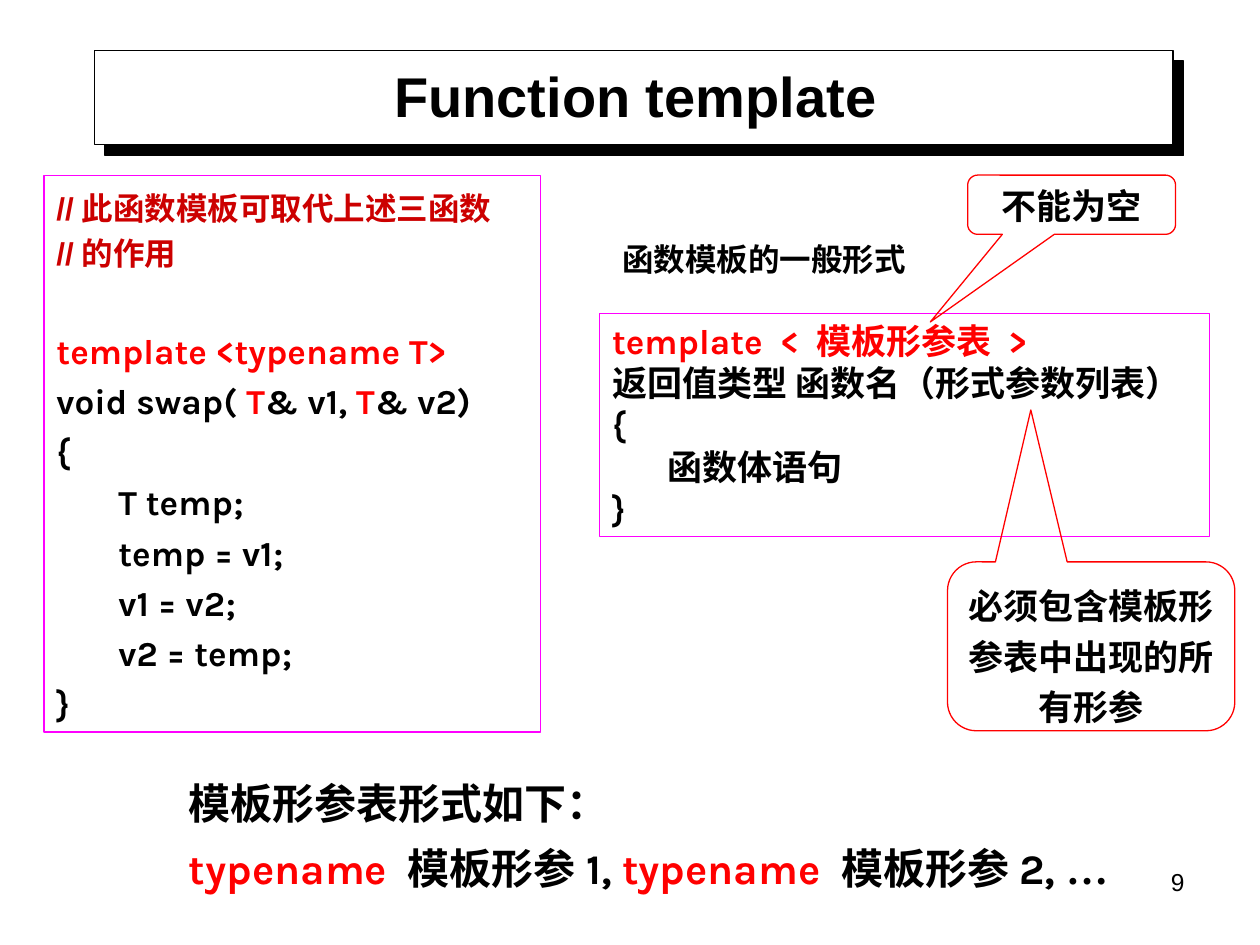
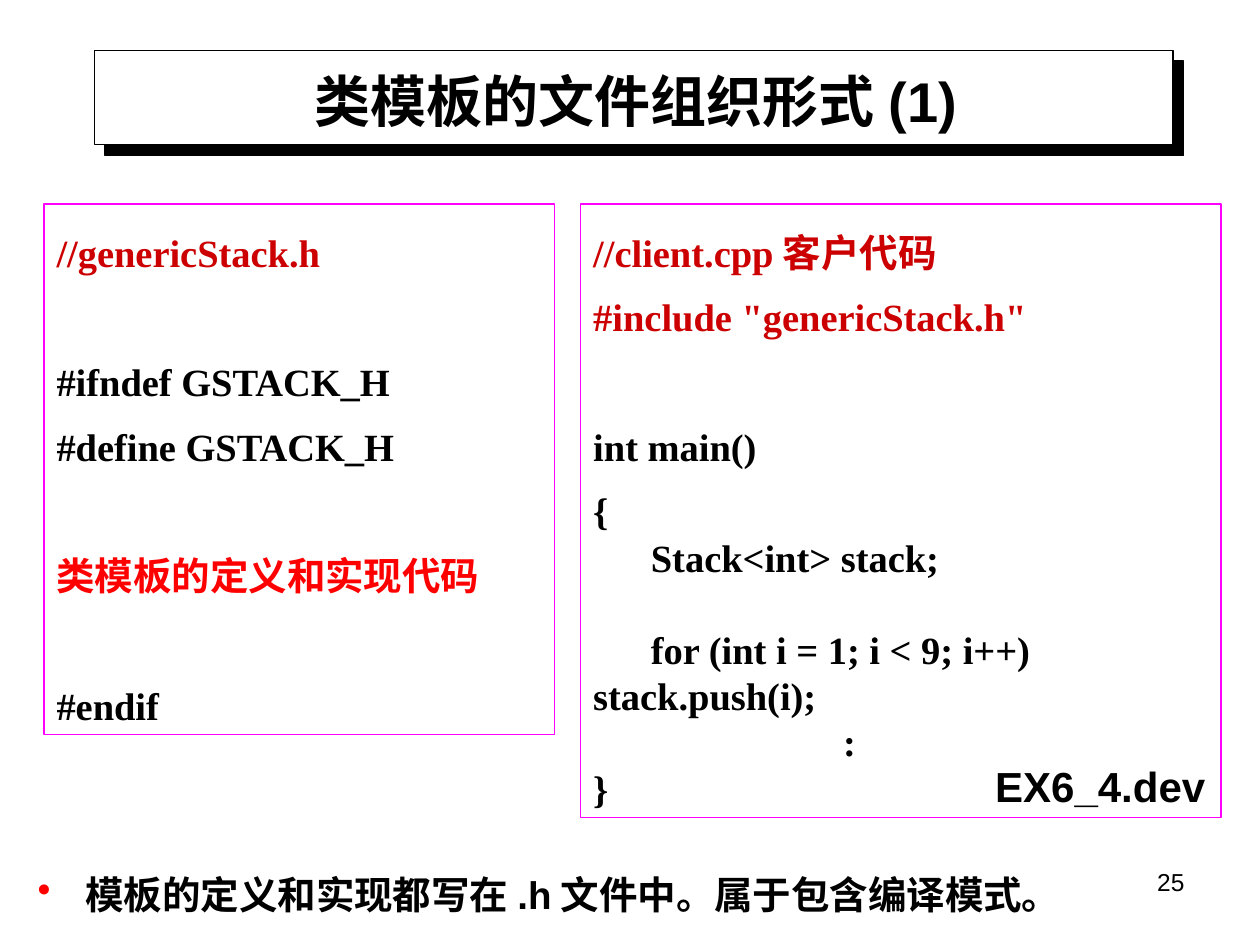
from dataclasses import dataclass
from typing import NamedTuple

from lxml.etree import SubElement
from pptx import Presentation
from pptx.dml.color import RGBColor
from pptx.enum.shapes import MSO_SHAPE
from pptx.enum.text import MSO_ANCHOR, MSO_AUTO_SIZE, PP_ALIGN
from pptx.oxml.ns import qn
from pptx.util import Inches, Pt

# Colours and fonts
BLACK = RGBColor(0x00, 0x00, 0x00)
WHITE = RGBColor(0xFF, 0xFF, 0xFF)
RED = RGBColor(0xFF, 0x00, 0x00)
DARK_RED = RGBColor(0xCC, 0x00, 0x00)
MAGENTA = RGBColor(0xFF, 0x00, 0xFF)
ARIAL, KARLA, TIMES = "Arial", "Karla", "Times New Roman"

# Grid of 100 columns by 75 rows
SLIDE_W, SLIDE_H = Inches(10), Inches(7.5)
COL, ROW = SLIDE_W / 100, SLIDE_H / 75


class Box(NamedTuple):
    """A region in grid columns and rows."""
    x: float
    y: float
    w: float
    h: float

    def inner(self, dx, dy, w, h):
        return Box(self.x + dx, self.y + dy, w, h)

    def emu(self):
        return (round(self.x * COL), round(self.y * ROW),
                round(self.w * COL), round(self.h * ROW))


class Run(NamedTuple):
    text: str
    color: RGBColor = BLACK
    font: str = ""


@dataclass
class Line:
    runs: list
    size: float = 20
    font: str = KARLA
    spacing: float = 1.0
    before: float = 0
    align: PP_ALIGN = PP_ALIGN.LEFT
    bold: bool = True


BAND = Box(7.5, 4, 85.6, 7.5)
NUMBER = Box(71.7, 68.3, 23.3, 5.2)


def fill_text(sp, lines, anchor=MSO_ANCHOR.TOP):
    tf = sp.text_frame
    tf.word_wrap = True
    tf.auto_size = MSO_AUTO_SIZE.NONE
    tf.vertical_anchor = anchor
    for i, line in enumerate(lines):
        p = tf.add_paragraph() if i else tf.paragraphs[0]
        p.alignment = line.align
        p.line_spacing = line.spacing
        if line.before:
            p.space_before = Pt(line.before)
        for run in line.runs:
            r = p.add_run()
            r.text = run.text
            r.font.name = run.font or line.font
            r.font.size = Pt(line.size)
            r.font.bold = line.bold
            r.font.color.rgb = run.color


def add_text(slide, box, lines):
    sp = slide.shapes.add_textbox(*box.emu())
    fill_text(sp, lines)
    return sp


def add_outline(slide, box, color, lines=(), kind=MSO_SHAPE.RECTANGLE):
    sp = slide.shapes.add_shape(kind, *box.emu())
    sp.shadow.inherit = False
    sp.fill.background()
    sp.line.color.rgb = color
    sp.line.width = Pt(0.75)
    fill_text(sp, lines)
    return sp


def add_callout(slide, box, text, adjustments, spacing=1.0):
    sp = add_outline(slide, box, RED,
                     [Line([Run(text)], spacing=spacing, align=PP_ALIGN.CENTER)],
                     MSO_SHAPE.ROUNDED_RECTANGULAR_CALLOUT)
    for i, value in enumerate(adjustments):
        sp.adjustments[i] = value


def indent(sp, left, first=0, bullet_color=None):
    """Indent every paragraph, with a coloured bullet if asked."""
    for p in sp.text_frame.paragraphs:
        pPr = p._p.get_or_add_pPr()
        pPr.set("marL", str(Inches(left)))
        pPr.set("indent", str(Inches(first)))
        if bullet_color is not None:
            clr = SubElement(pPr, qn("a:buClr"))
            SubElement(clr, qn("a:srgbClr"), val=str(bullet_color))
            SubElement(pPr, qn("a:buChar"), char="•")


def add_base(prs, title, number, title_h):
    """Title-only slide with the shadowed title band and slide number."""
    slide = prs.slides.add_slide(prs.slide_layouts[5])
    ph = slide.shapes.title
    ph.left, ph.top, ph.width, ph.height = BAND.inner(0.8, 0.4, 84.3, title_h).emu()
    fill_text(ph, [Line([Run(title)], 32, ARIAL, align=PP_ALIGN.CENTER)],
              MSO_ANCHOR.MIDDLE)

    # Band behind the title, with a hard shadow
    band = add_outline(slide, BAND, BLACK)
    band.fill.solid()
    band.fill.fore_color.rgb = WHITE
    effects = band._element.spPr.find(qn("a:effectLst"))
    shadow = SubElement(effects, qn("a:outerShdw"), blurRad="0",
                        dist=str(Pt(8.5)), dir=str(45 * 60000),
                        algn="ctr", rotWithShape="0")
    SubElement(shadow, qn("a:srgbClr"), val=str(BLACK))
    ph._element.addprevious(band._element)

    # Slide number
    add_text(slide, NUMBER, [Line([Run(number)], 14, ARIAL,
                                  align=PP_ALIGN.RIGHT, bold=False)])
    return slide


def swap_code(slide, box):
    comments = ["//此函数模板可取代上述三函数", "//的作用"]
    body = ["{", "       T temp;", "       temp = v1;", "       v1 = v2;",
            "       v2 = temp;", "}"]
    signature = [Run("void swap( "), Run("T", RED), Run("& v1, "),
                 Run("T", RED), Run("& v2)")]
    lines = [Line([Run(t, DARK_RED)], 18, ARIAL, 1.2) for t in comments]
    lines.append(Line([Run("template <typename T>", RED)], spacing=1.2, before=28))
    lines.append(Line(signature, spacing=1.2))
    lines += [Line([Run(t)], spacing=1.2) for t in body]
    add_outline(slide, box, MAGENTA, lines)


def general_form(slide, box):
    # Syntax panel
    body = ["返回值类型 函数名（形式参数列表）", "{", "       函数体语句", "}"]
    lines = [Line([Run("template  < 模板形参表 >", RED)])]
    lines += [Line([Run(t)]) for t in body]
    add_outline(slide, box.inner(0, 11, 48.4, 17.7), MAGENTA, lines)
    # Callouts pointing into the panel
    add_callout(slide, box.inner(29.2, 0, 16.5, 4.7), "不能为空",
                (-0.68, 1.98, 0.17))
    add_callout(slide, box.inner(27.6, 30.7, 22.8, 13.4),
                "必须包含模板形参表中出现的所有形参", (-0.21, -1.4, 0.17), 1.2)
    # Caption
    add_text(slide, box.inner(0.8, 4.7, 25.2, 4),
             [Line([Run("函数模板的一般形式")], 18, ARIAL)])


def parameter_list(slide, box):
    parameters = [Run("typename ", RED), Run("模板形参1, "),
                  Run("typename ", RED), Run("模板形参2, "),
                  Run("…", font=TIMES)]
    sp = add_text(slide, box, [Line(runs, 24, spacing=1.3) for runs in
                               ([Run("模板形参表形式如下：")], parameters)])
    indent(sp, 0.5)


def header_code(slide, box):
    rows = [("//genericStack.h", DARK_RED, 0),
            ("#ifndef GSTACK_H", BLACK, 37),
            ("#define GSTACK_H", BLACK, 0),
            ("类模板的定义和实现代码", RED, 37),
            ("#endif", BLACK, 37)]
    add_outline(slide, box, MAGENTA,
                [Line([Run(t, c)], 22, TIMES, 1.4, gap) for t, c, gap in rows])


def client_code(slide, box):
    rows = [("//client.cpp客户代码", DARK_RED, 1.4, 0),
            ('#include "genericStack.h"', DARK_RED, 1.4, 0),
            ("int main()", BLACK, 1.4, 37),
            ("{", BLACK, 1.4, 0),
            ("      Stack<int> stack;", BLACK, 1, 0),
            ("      for (int i = 1; i < 9; i++) \tstack.push(i);", BLACK, 1, 26.5),
            ("                          :", BLACK, 1, 0),
            ("}", BLACK, 1, 0)]
    add_outline(slide, box, MAGENTA,
                [Line([Run(t, c)], 22, TIMES, ls, gap) for t, c, ls, gap in rows])
    # Project file name in the lower right corner
    add_text(slide, box.inner(31.9, 43.7, 18.9, 5),
             [Line([Run("EX6_4.dev")], 24, ARIAL)])


def file_note(slide, box):
    sp = add_text(slide, box, [Line(
        [Run("模板的定义和实现都写在.h文件中。属于包含编译模式。")], 22, ARIAL, 1.5)])
    indent(sp, 0.38, -0.38, RED)


def function_template_slide(prs):
    slide = add_base(prs, "Function template", "9", 6.3)
    swap_code(slide, Box(3.5, 13.9, 39.4, 44.2))
    general_form(slide, Box(47.6, 13.9, 50.4, 44.1))
    parameter_list(slide, Box(9, 60, 81.9, 16.6 - 2))


def class_template_slide(prs):
    slide = add_base(prs, "类模板的文件组织形式(1)", "25", 7.1)
    header_code(slide, Box(3.5, 16.2, 40.5, 42.1))
    client_code(slide, Box(46.1, 16.2, 50.8, 48.7))
    file_note(slide, Box(2, 66.8, 90, 6.8))


def main():
    prs = Presentation()
    prs.slide_width, prs.slide_height = SLIDE_W, SLIDE_H
    function_template_slide(prs)
    class_template_slide(prs)
    prs.save("out.pptx")


if __name__ == "__main__":
    main()
